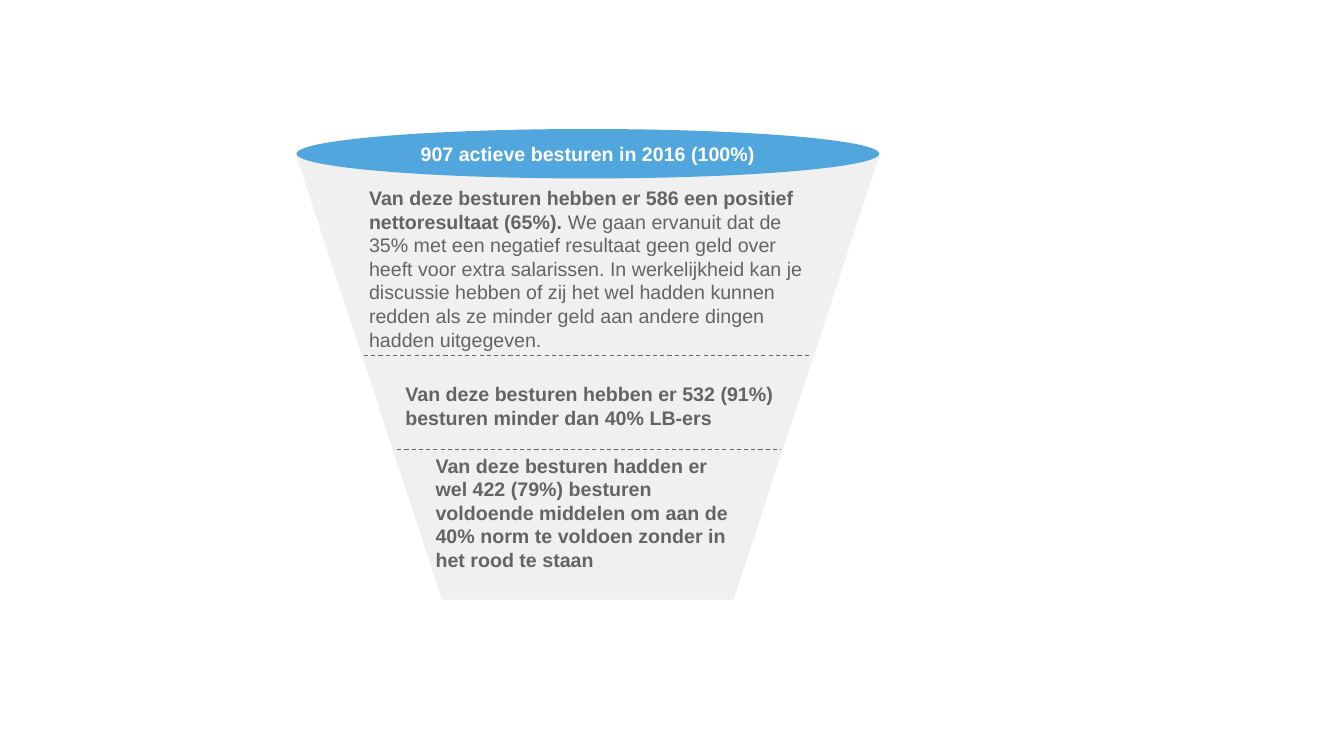
"""Build a funnel slide that narrows 907 school boards down to 422."""
from lxml.etree import SubElement
from pptx import Presentation
from pptx.dml.color import RGBColor
from pptx.enum.dml import MSO_LINE
from pptx.enum.shapes import MSO_CONNECTOR, MSO_SHAPE
from pptx.enum.text import MSO_ANCHOR, PP_ALIGN
from pptx.oxml.ns import qn
from pptx.util import Inches, Pt

COLORS = {"funnel": "F0F0F0", "rim": "51A7DD", "text": "646464", "white": "FFFFFF"}
RIM_TEXT = "907 actieve besturen in 2016 (100%)"
STAGES = [
    (3.61, 2.23, 4.42,
     "Van deze besturen hebben er 586 een positief nettoresultaat (65%). ",
     "We gaan ervanuit dat de 35% met een negatief resultaat geen geld over heeft "
     "voor extra salarissen. In werkelijkheid kan je discussie hebben of zij het wel "
     "hadden kunnen redden als ze minder geld aan andere dingen hadden uitgegeven."),
    (3.97, 3.59, 3.91,
     "Van deze besturen hebben er 532 (91%) besturen minder dan 40% LB-ers", ""),
    (4.27, 4.65, 3.11,
     "Van deze besturen hadden er wel 422 (79%) besturen voldoende middelen om aan "
     "de 40% norm te voldoen zonder in het rood te staan", ""),
]
DIVIDERS = [(3.61, 8.03, 3.53), (3.94, 7.74, 4.46)]
LEFT, WIDTH, TOP, BOTTOM = 2.94, 5.78, 1.55, 5.95
RIM_TOP, RIM_HEIGHT, STAGE_HEIGHT, MARGIN = 1.28, 0.49, 0.87, 0.05


def rgb(name):
    return RGBColor.from_string(COLORS[name])


def paint(sp, color):
    sp.shadow.inherit = False
    sp.fill.solid()
    sp.fill.fore_color.rgb = rgb(color)
    sp.line.fill.background()


def write(sp, parts, color, align, wrap):
    tf = sp.text_frame
    tf.word_wrap = wrap
    tf.vertical_anchor = MSO_ANCHOR.MIDDLE
    tf.margin_left = tf.margin_right = tf.margin_top = tf.margin_bottom = Inches(MARGIN)
    p = tf.paragraphs[0]
    p.alignment = align
    for text, bold in parts:
        r = p.add_run()
        r.text = text
        r.font.name, r.font.size, r.font.bold = "Arial", Pt(14), bold
        r.font.color.rgb = rgb(color)


prs = Presentation()
prs.slide_width, prs.slide_height = Inches(13.33), Inches(7.5)
s = prs.slides.add_slide(prs.slide_layouts[6])

inset = WIDTH / 4
corners = [(LEFT + inset, BOTTOM), (LEFT + WIDTH - inset, BOTTOM), (LEFT + WIDTH, TOP)]
fb = s.shapes.build_freeform(Inches(LEFT), Inches(TOP))
fb.add_line_segments([(Inches(x), Inches(y)) for x, y in corners], close=True)
paint(fb.convert_to_shape(), "funnel")

rim = s.shapes.add_shape(MSO_SHAPE.OVAL, Inches(LEFT), Inches(RIM_TOP),
                         Inches(WIDTH), Inches(RIM_HEIGHT))
paint(rim, "rim")
write(rim, [(RIM_TEXT, True)], "white", PP_ALIGN.CENTER, False)

for left, top, width, lead, detail in STAGES:
    tb = s.shapes.add_textbox(Inches(left), Inches(top), Inches(width), Inches(STAGE_HEIGHT))
    parts = [(lead, True)] + ([(detail, False)] if detail else [])
    write(tb, parts, "text", PP_ALIGN.LEFT, True)

for start, end, y in DIVIDERS:
    line = s.shapes.add_connector(MSO_CONNECTOR.STRAIGHT, Inches(start), Inches(y),
                                  Inches(end), Inches(y))
    line.line.color.rgb = rgb("text")
    line.line.width = Pt(0.75)
    line.line.dash_style = MSO_LINE.DASH
    SubElement(line._element.spPr, qn("a:effectLst"))

prs.save("out.pptx")
